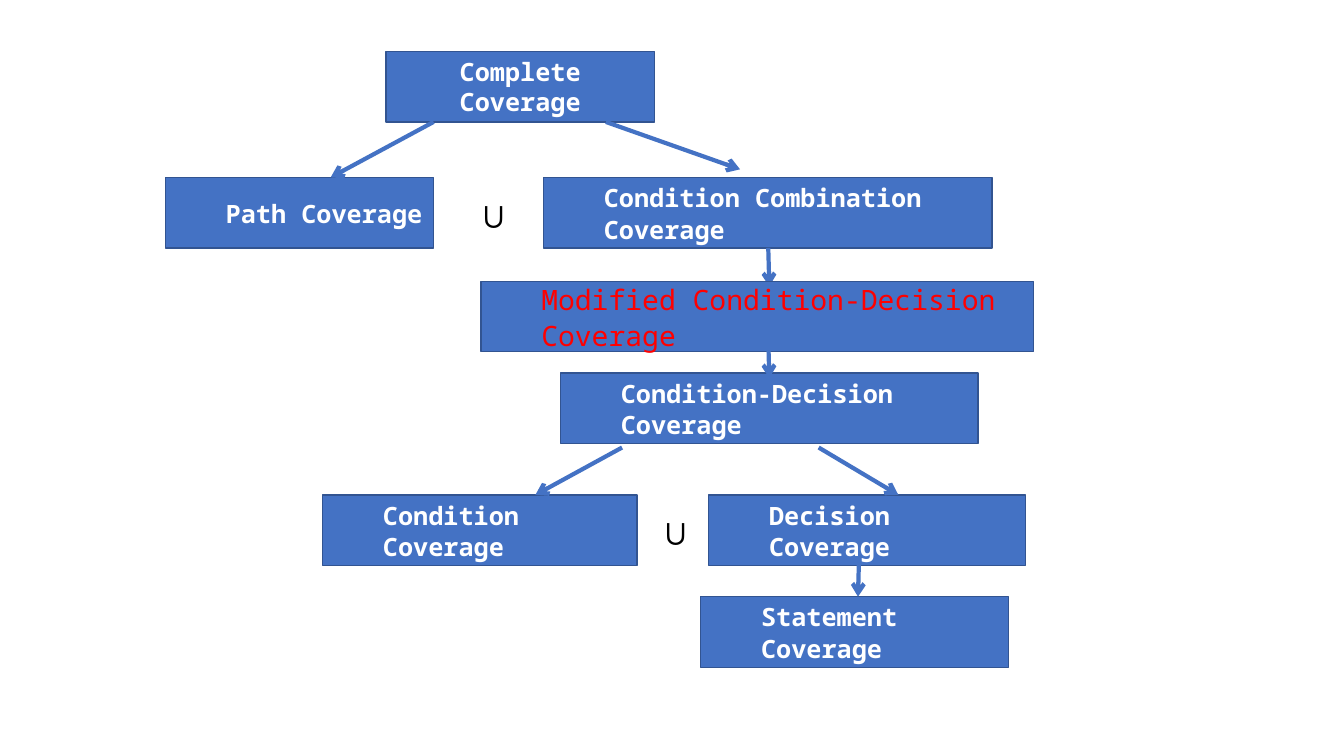
from pptx import Presentation, util as u
from pptx.dml.color import RGBColor
from pptx.enum import shapes, text
from pptx.oxml.ns import qn
from lxml import etree

# Grid: one-inch columns and rows on a 13.33 x 7.5 page
COL = ROW = u.Inches(1)
PAGE_COLS, PAGE_ROWS = 13.33, 7.5
BOX_ROWS = 0.7
INDENT = u.Inches(0.5)

# Top of each level in the hierarchy
COMPLETE, PATHS, MODIFIED, COMBINED, PARTS, STATEMENT = 0.51, 1.76, 2.79, 3.7, 4.91, 5.92

BLUE = RGBColor(0x44, 0x72, 0xC4)
EDGE = RGBColor(0x32, 0x54, 0x91)
WHITE = RGBColor(0xFF, 0xFF, 0xFF)
RED = RGBColor(0xFF, 0x00, 0x00)
BLACK = RGBColor(0x00, 0x00, 0x00)
MONO, SERIF = "Noto Sans Mono", "Times New Roman"


def place(left, top, width):
    return int(left * COL), int(top * ROW), int(width * COL), int(BOX_ROWS * ROW)


def write(box, words, font, size, color, bold, align):
    frame = box.text_frame
    frame.word_wrap = True
    frame.vertical_anchor = text.MSO_ANCHOR.MIDDLE
    para = frame.paragraphs[0]
    para.alignment = align
    span = para.add_run()
    span.text = words
    span.font.name, span.font.size = font, u.Pt(size)
    span.font.bold, span.font.color.rgb = bold, color
    return para


def add_criterion(page, words, left, top, width, size=18, color=WHITE, bold=True, centred=False):
    box = page.shapes.add_shape(shapes.MSO_SHAPE.RECTANGLE, *place(left, top, width))
    box.shadow.inherit = False
    box.fill.solid()
    box.fill.fore_color.rgb = BLUE
    box.line.color.rgb = EDGE
    box.line.width = u.Pt(1)
    align = text.PP_ALIGN.CENTER if centred else text.PP_ALIGN.LEFT
    para = write(box, words, MONO, size, color, bold, align)
    if not centred:
        para.line_spacing = 1.05
        props = para._p.get_or_add_pPr()
        props.set("marL", str(INDENT))
        props.set("indent", "0")


def add_union(page, left, top):
    box = page.shapes.add_textbox(*place(left, top, 0.47))
    write(box, "∪", SERIF, 28, BLACK, True, text.PP_ALIGN.CENTER)


def add_arrow(page, x1, y1, x2, y2):
    arrow = page.shapes.add_connector(
        shapes.MSO_CONNECTOR.STRAIGHT,
        int(x1 * COL), int(y1 * ROW), int(x2 * COL), int(y2 * ROW))
    arrow.line.color.rgb = BLUE
    arrow.line.width = u.Pt(3)
    etree.SubElement(arrow.line._get_or_add_ln(), qn("a:tailEnd"), type="arrow")
    etree.SubElement(arrow._element.spPr, qn("a:effectLst"))


def main():
    deck = Presentation()
    deck.slide_width = int(PAGE_COLS * COL)
    deck.slide_height = int(PAGE_ROWS * ROW)
    page = deck.slides.add_slide(deck.slide_layouts[6])

    # Coverage criteria
    add_criterion(page, "Complete Coverage", 3.83, COMPLETE, 2.66, centred=True)
    for words, left, top, width in (
        ("Path Coverage", 1.64, PATHS, 2.66),
        ("Condition Combination Coverage", 5.39, PATHS, 4.45),
        ("Condition-Decision Coverage", 5.56, COMBINED, 4.14),
        ("Condition Coverage", 3.2, PARTS, 3.12),
        ("Decision Coverage", 7.03, PARTS, 3.14),
        ("Statement Coverage", 6.95, STATEMENT, 3.05),
    ):
        add_criterion(page, words, left, top, width)

    # Union signs between sibling criteria
    add_union(page, 4.61, PATHS)
    add_union(page, 6.41, PARTS)

    # Arrows from stronger to weaker criteria
    for ends in (
        (4.3, COMPLETE + BOX_ROWS, 3.28, PATHS),
        (6.01, COMPLETE + BOX_ROWS, 7.34, 1.68),
        (7.62, PATHS + BOX_ROWS, 7.63, 2.84),
        (6.17, 4.44, 5.31, PARTS),
        (8.12, 4.44, 8.91, PARTS),
        (8.52, 5.53, 8.51, STATEMENT),
    ):
        add_arrow(page, *ends)

    # Highlighted criterion, laid over the arrow that reaches it
    add_criterion(page, "Modified Condition-Decision Coverage", 4.77, MODIFIED, 5.48,
                  size=20, color=RED, bold=False)
    add_arrow(page, 7.62, 3.37, 7.63, 3.75)

    deck.save("out.pptx")


if __name__ == "__main__":
    main()
